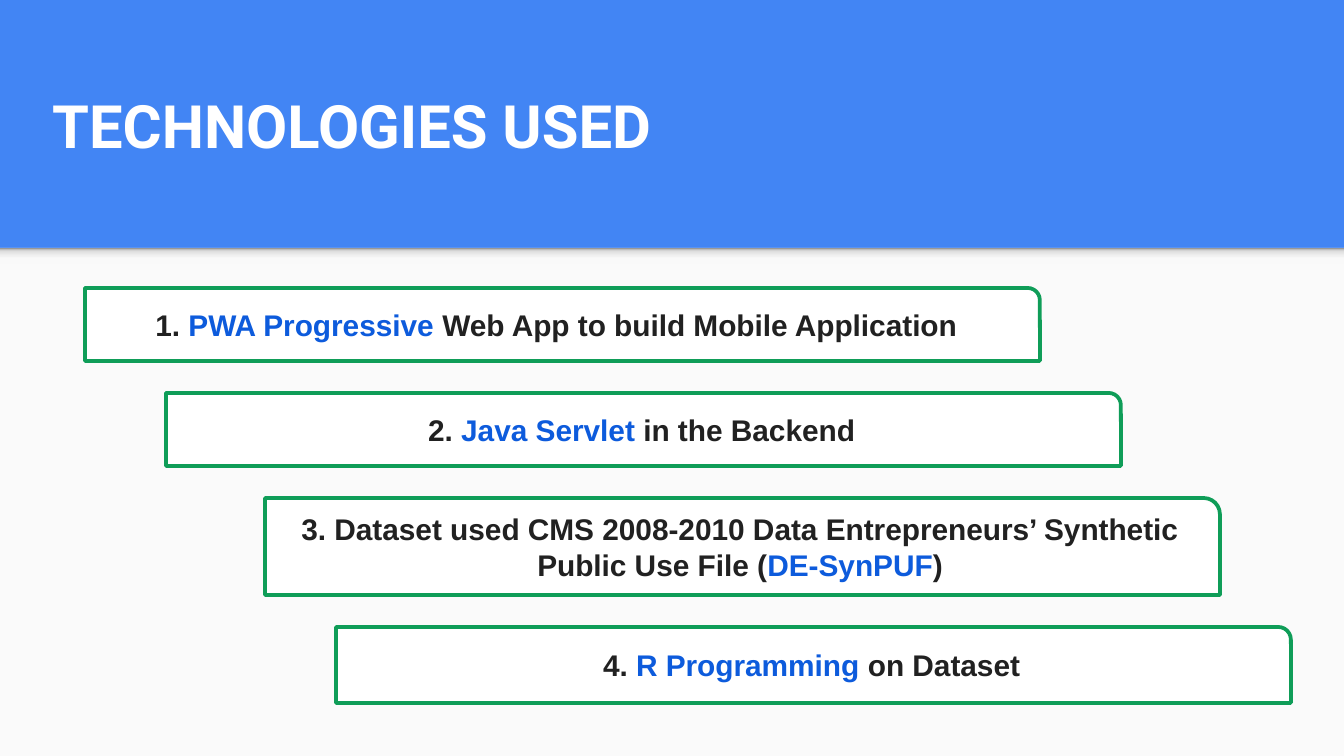
from copy import deepcopy

from pptx import Presentation
from pptx import util as u
from pptx.dml.color import RGBColor
from pptx.enum import shapes, text
from pptx.oxml.ns import qn

PX = 914400 / 134.4
BLUE, PAPER, WHITE = "4285F4", "FAFAFA", "FFFFFF"
GREEN, INK, ACCENT = "0F9D58", "212121", "0D5BDC"


def px(*lengths):
    return [u.Emu(round(length * PX)) for length in lengths]


def rgb(color):
    return RGBColor.from_string(color)


def write(paragraph, words, font="Arial", size=16, color=INK, bold=True):
    run = paragraph.add_run()
    run.text = words
    run.font.name = font
    run.font.size = u.Pt(size)
    run.font.bold = bold
    run.font.color.rgb = rgb(color)


class Deck:
    def __init__(self, width, height, background):
        self.prs = Presentation()
        self.prs.slide_width, self.prs.slide_height = px(width, height)
        self.slide = self.prs.slides.add_slide(self.prs.slide_layouts[6])
        fill = self.slide.background.fill
        fill.solid()
        fill.fore_color.rgb = rgb(background)

    def panel(self, box, fill, line=None, kind=shapes.MSO_SHAPE.RECTANGLE):
        panel = self.slide.shapes.add_shape(kind, *px(*box))
        panel.shadow.inherit = False
        panel.fill.solid()
        panel.fill.fore_color.rgb = rgb(fill)
        if line:
            panel.line.color.rgb = rgb(line)
            panel.line.width = u.Pt(2)
        else:
            panel.line.fill.background()
        return panel

    def fade(self, box, stops):
        """Add a band whose gradient runs from bottom to top."""
        band = self.panel(box, PAPER)
        band.fill.gradient()
        band.fill.gradient_angle = 90
        stop_list = band.element.spPr.find(".//" + qn("a:gsLst"))
        while len(stop_list) < len(stops):
            stop_list.append(deepcopy(stop_list[0]))
        for stop, (position, color) in zip(band.fill.gradient_stops, stops):
            stop.position = position
            stop.color.rgb = rgb(color)

    def title(self, box, words):
        frame = self.slide.shapes.add_textbox(*px(*box)).text_frame
        frame.word_wrap = True
        frame.vertical_anchor = text.MSO_ANCHOR.BOTTOM
        frame.margin_top = frame.margin_bottom = u.Inches(0.1)
        write(frame.paragraphs[0], words, font="Roboto", size=32, color=WHITE)

    def card(self, box, before, highlight, after):
        card = self.panel(box, WHITE, GREEN, shapes.MSO_SHAPE.ROUND_1_RECTANGLE)
        frame = card.text_frame
        frame.word_wrap = True
        frame.vertical_anchor = text.MSO_ANCHOR.MIDDLE
        line = frame.paragraphs[0]
        line.alignment = text.PP_ALIGN.CENTER
        write(line, before)
        write(line, highlight, color=ACCENT)
        write(line, after)


def main():
    deck = Deck(1344, 756, BLUE)
    deck.panel((0, 248, 1344, 508), PAPER)
    deck.fade((0, 248, 1344, 16),
              [(0, "F9F9F9"), (0.36, "F9F9F9"), (0.8, "DEDEDE"), (1, "999999")])
    deck.title((39, 69, 1208, 105), "TECHNOLOGIES USED")

    technologies = [
        (85, 73, "1. ", "PWA Progressive ", "Web App to build Mobile Application "),
        (166, 73, "2. ", "Java Servlet ", "in the Backend"),
        (265, 97, "3. Dataset used CMS 2008-2010 Data Entrepreneurs’ Synthetic "
                  "Public Use File (", "DE-SynPUF", ")"),
        (336, 76, "4. ", "R Programming ", "on Dataset"),
    ]
    top, gap = 288, 32
    for left, height, *words in technologies:
        deck.card((left, top, 955, height), *words)
        top += height + gap

    deck.prs.save("out.pptx")


if __name__ == "__main__":
    main()
